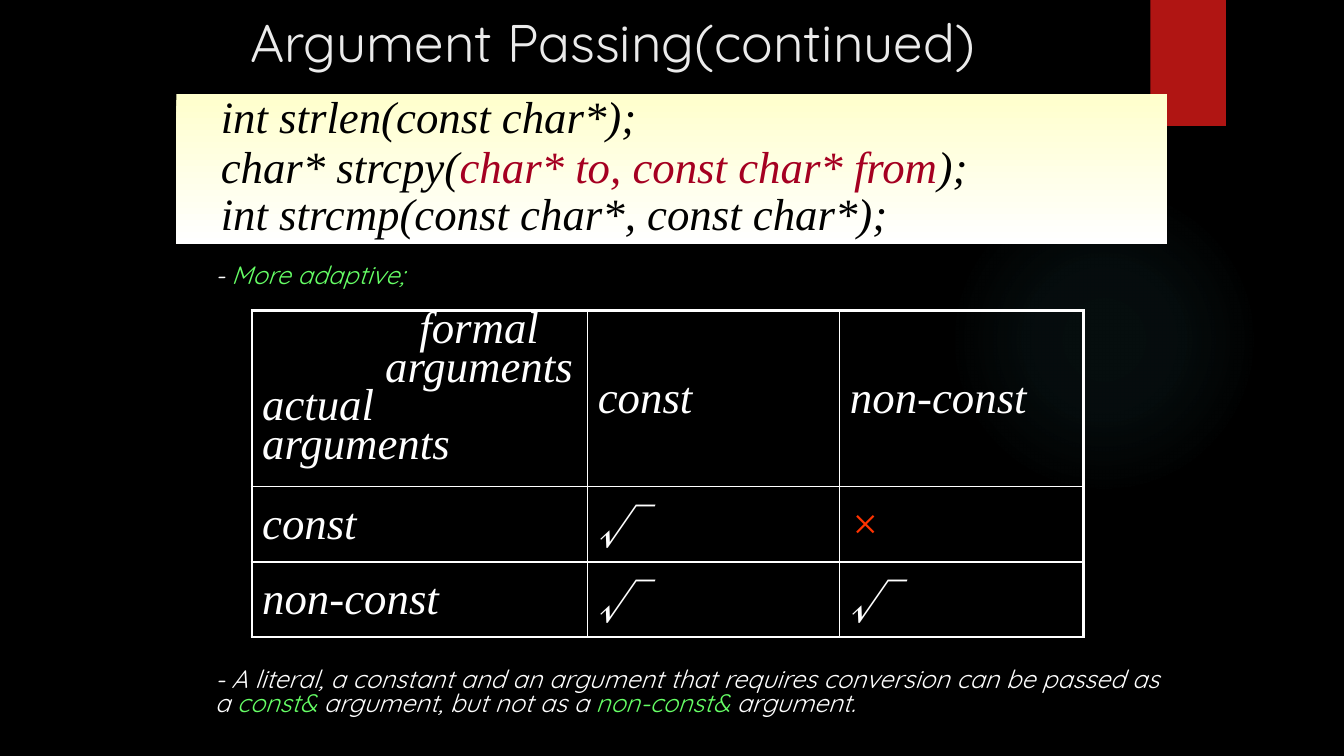
from lxml import etree
from pptx import Presentation
from pptx.dml.color import RGBColor
from pptx.enum.shapes import MSO_SHAPE
from pptx.enum.text import MSO_ANCHOR, MSO_AUTO_SIZE, PP_ALIGN
from pptx.oxml import parse_xml
from pptx.oxml.ns import nsdecls, qn
from pptx.util import Inches, Pt

RECT, OVAL = MSO_SHAPE.RECTANGLE, MSO_SHAPE.OVAL
MIDDLE, TOP = MSO_ANCHOR.MIDDLE, MSO_ANCHOR.TOP
LEFT, FIXED = PP_ALIGN.LEFT, MSO_AUTO_SIZE.NONE

BLACK = RGBColor(0x00, 0x00, 0x00)
WHITE = RGBColor(0xFF, 0xFF, 0xFF)
PALE = RGBColor(0xEB, 0xEB, 0xEB)
CREAM = RGBColor(0xFF, 0xFF, 0xCC)
RED = RGBColor(0xB0, 0x15, 0x13)
WINE = RGBColor(0xA5, 0x00, 0x21)
GREEN = RGBColor(0x66, 0xFF, 0x66)
ORANGE = RGBColor(0xFF, 0x33, 0x00)
TEAL = RGBColor(0x50, 0xB9, 0xC1)

SANS, SERIF, CJK = "Quicksand", "Times New Roman", "Noto Sans CJK SC"
HEAD = {"name": SANS, "size": Pt(37.8)}
NOTE = {"name": SANS, "size": Pt(18), "italic": True}
LARGE = {"name": SERIF, "size": Pt(32), "italic": True}
SIGN = {**LARGE, "name": CJK}

CODE = [
    [("int strlen(const char*);", BLACK)],
    [("char* strcpy(", BLACK), ("char* to, const char* from", WINE), (");", BLACK)],
    [("int strcmp(const char*, const char*);", BLACK)],
]
ADAPT = [("- ", WHITE), ("More adaptive;", GREEN)]
RULE = [
    ("- A literal, a constant and an argument that requires conversion "
     "can be passed as a ", WHITE),
    ("const&", GREEN),
    (" argument, but not as a ", WHITE),
    ("non-const&", GREEN),
    (" argument.", WHITE),
]
CORNER = [("formal", 1.56), ("arguments", 1.22), ("actual", 0), ("arguments", 0)]
GRID = [["", "const", "non-const"], ["const", "√", "×"], ["non-const", "√", "√"]]
COLS, ROWS = [3.33, 2.5, 2.42], [1.75, 0.64, 0.63]


def put(item, vals):
    """Set each named attribute of an item."""
    for key, val in vals.items():
        setattr(item, key, val)


def box(*dims):
    """Turn inch values into lengths."""
    return [Inches(dim) for dim in dims]


def write(para, runs, font, space=1.0, before=0):
    """Fill a paragraph with coloured runs."""
    put(para, {"alignment": LEFT, "line_spacing": space, "space_before": Pt(before)})
    for text, color in runs:
        run = para.add_run()
        run.text = text
        put(run.font, font)
        run.font.color.rgb = color
        if font["name"] == CJK:
            etree.SubElement(run.font._element, qn("a:ea"), typeface=CJK)


def frame(shape, left=0, edge=0.05):
    """Give a shape's text its insets and return the text frame."""
    text = shape.text_frame
    put(text, {
        "word_wrap": True, "auto_size": FIXED, "vertical_anchor": MIDDLE,
        "margin_left": Inches(left), "margin_right": 0,
        "margin_top": Inches(edge), "margin_bottom": Inches(edge),
    })
    return text


def block(slide, kind, dims):
    """Add a plain preset shape without line or shadow."""
    shape = slide.shapes.add_shape(kind, *box(*dims))
    shape.shadow.inherit = False
    shape.line.fill.background()
    return shape


def glow(slide):
    """Add the soft round light."""
    shape = block(slide, OVAL, (9.41, 1.83, 3.08, 3.08))
    shape.fill.background()
    stops = "".join(
        f'<a:gs pos="{pos}000"><a:srgbClr val="{TEAL}">'
        f'<a:alpha val="{alpha}000"/></a:srgbClr></a:gs>'
        for pos, alpha in [(0, 7), (36, 6), (69, 0)])
    grad = parse_xml(
        f'<a:gradFill {nsdecls("a")}><a:gsLst>{stops}</a:gsLst><a:path path="circle">'
        '<a:fillToRect l="50000" t="50000" r="50000" b="50000"/></a:path></a:gradFill>')
    props = shape._element.spPr
    props.replace(props.find(qn("a:noFill")), grad)


def title(slide):
    """Place and format the title."""
    shape = slide.shapes.title
    put(shape, dict(zip(("left", "top", "width", "height"), box(2.25, 0.08, 8.83, 0.67))))
    text = frame(shape, 0.23)
    write(text.paragraphs[0], [("Argument Passing(continued)", PALE)], HEAD)


def panel(slide):
    """Add the cream panel with the declarations."""
    shape = block(slide, RECT, (1.75, 0.93, 9.83, 1.49))
    shape.fill.gradient()
    shape.fill.gradient_angle = 270
    for stop, color, pos in zip(shape.fill.gradient_stops, (CREAM, WHITE), (0, 1)):
        stop.color.rgb = color
        stop.position = pos
    text = frame(shape, 0.44, 0.08)
    for num, runs in enumerate(CODE):
        para = text.add_paragraph() if num else text.paragraphs[0]
        write(para, runs, LARGE, 0.4 if num else 0.7, 18 if num else 0)


def note(slide, dims, runs):
    """Add a small remark."""
    text = frame(slide.shapes.add_textbox(*box(*dims)), 0.38)
    write(text.paragraphs[0], runs, NOTE, 0.8)


def border(cell, row, col):
    """Draw thick outer and thin inner lines round a cell."""
    props = cell._tc.get_or_add_tcPr()
    outer = {"L": col == 0, "R": col == len(COLS) - 1,
             "T": row == 0, "B": row == len(ROWS) - 1}
    for num, (side, thick) in enumerate(outer.items()):
        width = Pt(2.25 if thick else 1)
        props.insert(num, parse_xml(
            f'<a:ln{side} {nsdecls("a")} w="{width}"><a:solidFill>'
            f'<a:srgbClr val="{WHITE}"/></a:solidFill></a:ln{side}>'))


def corner(cell):
    """Write the two headings of the corner cell."""
    cell.vertical_anchor = TOP
    text = cell.text_frame
    for num, (word, left) in enumerate(CORNER):
        para = text.add_paragraph() if num else text.paragraphs[0]
        write(para, [(word, WHITE)], LARGE, 0.6 if num else 0.7, 6 if num else 0)
        para._p.get_or_add_pPr().set("marL", str(Inches(left)))


def table(slide):
    """Add the table of allowed pairs."""
    dims = box(2.5, 3.08, sum(COLS), sum(ROWS))
    grid = slide.shapes.add_table(len(ROWS), len(COLS), *dims).table
    put(grid, {"first_row": False, "horz_banding": False})
    for col, width in zip(grid.columns, COLS):
        col.width = Inches(width)
    for row, height in zip(grid.rows, ROWS):
        row.height = Inches(height)
    for row, words in enumerate(GRID):
        for col, word in enumerate(words):
            cell = grid.cell(row, col)
            cell.fill.background()
            cell.vertical_anchor = MIDDLE
            border(cell, row, col)
            if word:
                color = ORANGE if word == "×" else WHITE
                font = SIGN if word == "√" else LARGE
                write(cell.text_frame.paragraphs[0], [(word, color)], font)
            else:
                corner(cell)


def main():
    """Build and save the slide."""
    deck = Presentation()
    put(deck, {"slide_width": Inches(13.33), "slide_height": Inches(7.5)})
    slide = deck.slides.add_slide(deck.slide_layouts[5])
    back = slide.background.fill
    back.solid()
    back.fore_color.rgb = BLACK
    glow(slide)
    tag = block(slide, RECT, (11.41, 0, 0.75, 1.25))
    tag.fill.solid()
    tag.fill.fore_color.rgb = RED
    title(slide)
    panel(slide)
    note(slide, (1.75, 2.5, 9.92, 0.5), ADAPT)
    table(slide)
    note(slide, (1.75, 6.25, 9.92, 1.25), RULE)
    deck.save("out.pptx")


if __name__ == "__main__":
    main()
